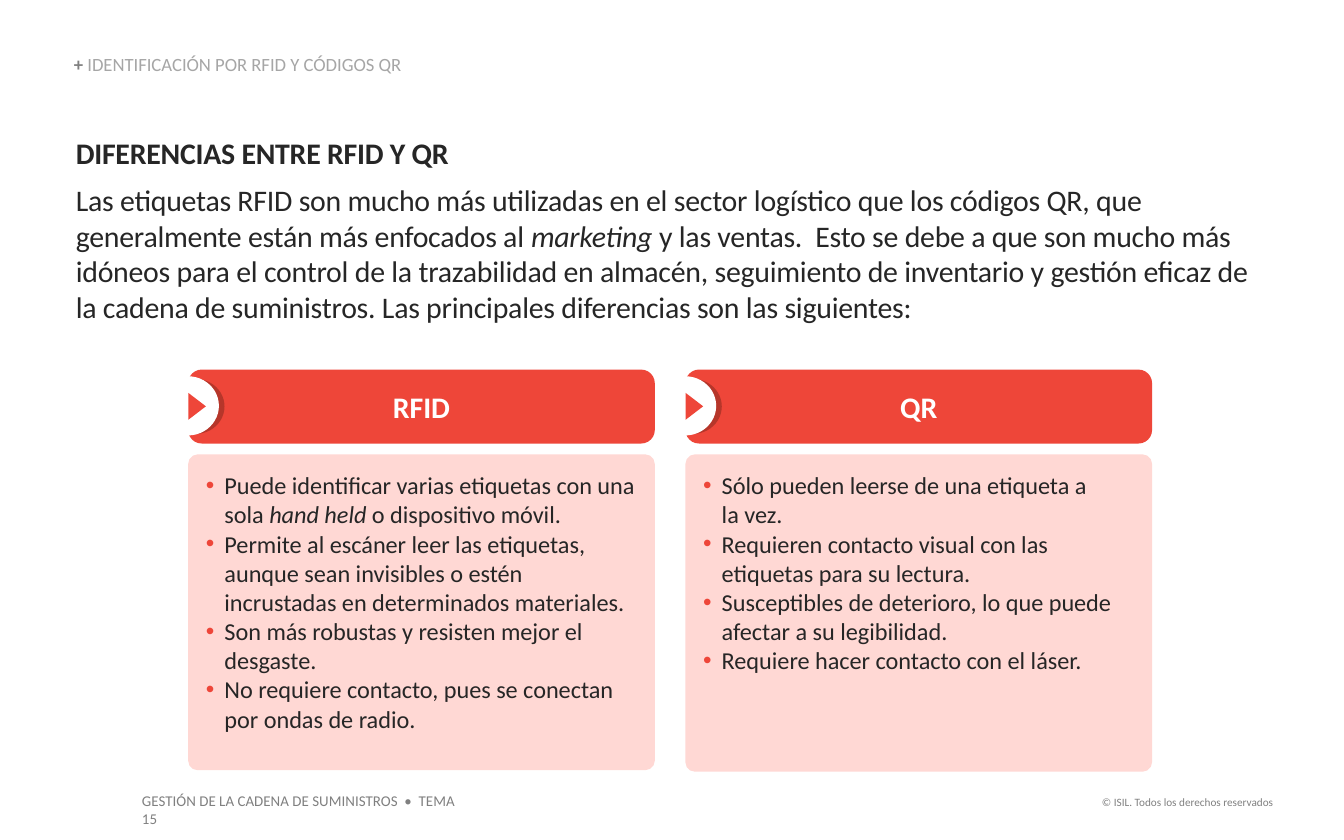
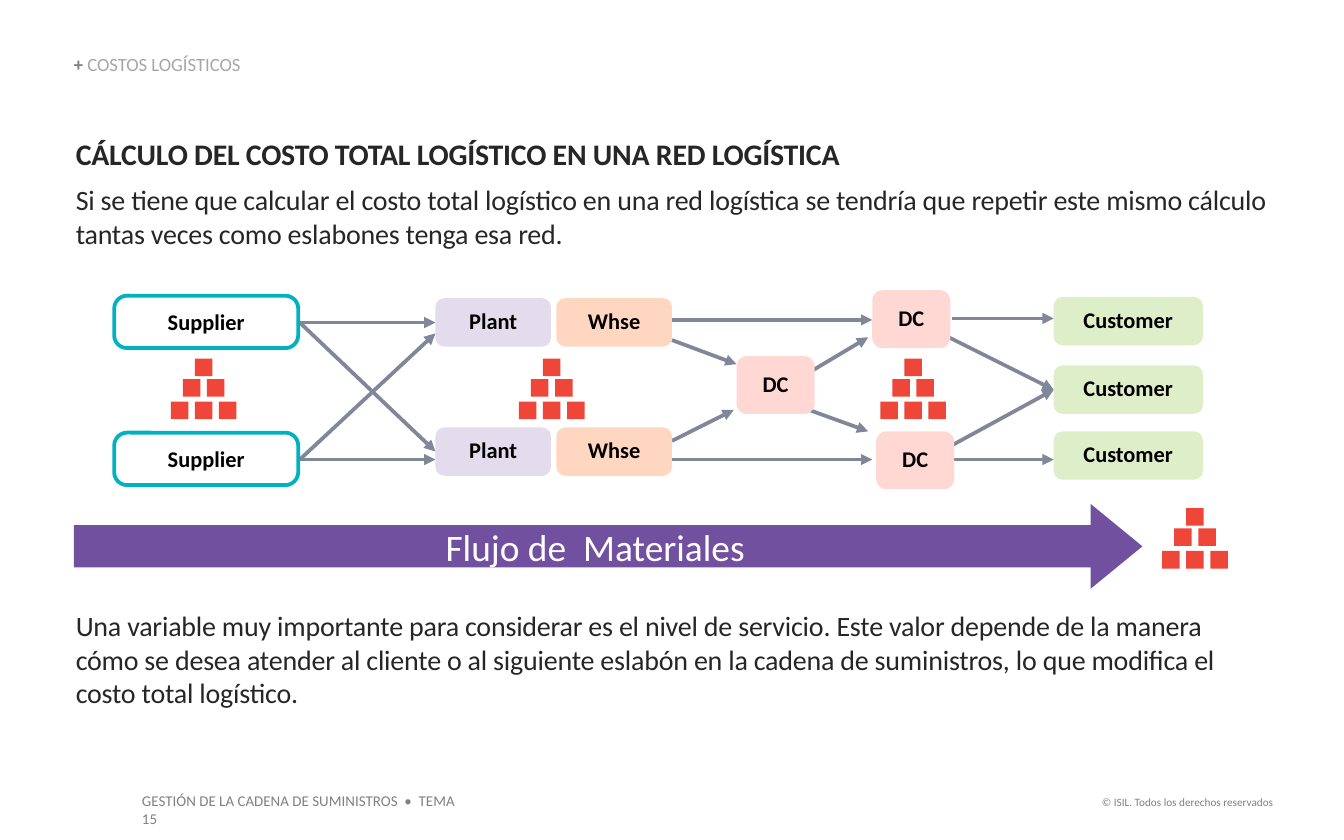
from dataclasses import dataclass
from typing import NamedTuple

from lxml import etree
from pptx import Presentation
from pptx.dml.color import RGBColor
from pptx.enum.shapes import MSO_CONNECTOR, MSO_SHAPE
from pptx.enum.text import MSO_ANCHOR, MSO_AUTO_SIZE, PP_ALIGN
from pptx.oxml.ns import qn
from pptx.util import Pt

ROUNDED = MSO_SHAPE.ROUNDED_RECTANGLE
RECTANGLE = MSO_SHAPE.RECTANGLE
ELLIPSE = MSO_SHAPE.OVAL
TRIANGLE = MSO_SHAPE.ISOSCELES_TRIANGLE
RIGHT_ARROW = MSO_SHAPE.RIGHT_ARROW
STRAIGHT = MSO_CONNECTOR.STRAIGHT
LEFT, CENTER, RIGHT = PP_ALIGN.LEFT, PP_ALIGN.CENTER, PP_ALIGN.RIGHT
TOP, MIDDLE, BOTTOM = MSO_ANCHOR.TOP, MSO_ANCHOR.MIDDLE, MSO_ANCHOR.BOTTOM
NO_AUTOFIT = MSO_AUTO_SIZE.NONE

FONT = "Calibri"
COLORS = {
    "red": "EE4639", "dark_red": "B6362A", "pink": "FFD8D4",
    "purple": "7150A0", "lilac": "E3DCED", "peach": "FFD7C1",
    "green": "DDEEC8", "teal": "00B1C2", "slate": "808799",
    "text": "262626", "gray": "808080", "light_gray": "A6A6A6",
    "white": "FFFFFF", "black": "000000",
}
TITLE_AND_CONTENT, COMPARISON = 1, 4
TIGHT = -10  # character spacing, hundredths of a point


class Box(NamedTuple):
    left: float
    top: float
    width: float
    height: float


class Arrow(NamedTuple):
    x1: float
    y1: float
    x2: float
    y2: float


@dataclass
class Card:
    heading: str
    left: float
    height: float
    placeholder_index: int
    items: list[str]


@dataclass
class NodeKind:
    label: str
    width: float
    height: float
    fill: str
    corner: float = 0.18
    spacing: float = 0.9
    line: str | None = None


# Text helpers
def color(name: str) -> RGBColor:
    return RGBColor.from_string(COLORS[name])


def set_font(font, size: float, color_name: str, bold: bool = False) -> None:
    font.name, font.size, font.bold = FONT, Pt(size), bold
    font.color.rgb = color(color_name)


def set_frame(frame, insets=(0, 0, 0, 0), anchor=TOP) -> None:
    frame.word_wrap = True
    frame.auto_size = NO_AUTOFIT
    frame.vertical_anchor = anchor
    (frame.margin_left, frame.margin_top,
     frame.margin_right, frame.margin_bottom) = map(Pt, insets)


def place(shape, box: Box) -> None:
    shape.left, shape.top, shape.width, shape.height = map(Pt, box)


def set_bullet(paragraph, bullet: str | None, margin: float, indent: float) -> None:
    properties = paragraph._p.get_or_add_pPr()
    properties.set("marL", str(Pt(margin)))
    properties.set("indent", str(Pt(indent)))
    if bullet is None:
        etree.SubElement(properties, qn("a:buNone"))
        return
    bullet_color = etree.SubElement(properties, qn("a:buClr"))
    etree.SubElement(bullet_color, qn("a:srgbClr"), val=COLORS["red"])
    etree.SubElement(properties, qn("a:buFont"), typeface="Arial")
    etree.SubElement(properties, qn("a:buChar"), char=bullet)


def add_marked_text(paragraph, text: str, spacing: int = 0) -> None:
    """Asterisks enclose italics; a newline is a line break."""
    for part_number, part in enumerate(text.split("*")):
        for line_number, line in enumerate(part.split("\n")):
            if line_number:
                paragraph.add_line_break()
            run = paragraph.add_run()
            run.text = line
            if part_number % 2:
                run.font.italic = True
            if spacing:
                run._r.get_or_add_rPr().set("spc", str(spacing))


def write_prose(paragraph, text: str, size: float, bold: bool = False, after: float = 0) -> None:
    set_bullet(paragraph, None, 1, 0)
    paragraph.alignment = LEFT
    paragraph.space_before, paragraph.space_after = Pt(0), Pt(after)
    set_font(paragraph.font, size, "text", bold)
    add_marked_text(paragraph, text, TIGHT)


def write_label(frame, text: str, size: float, color_name: str, bold=False,
                alignment=CENTER, spacing: float = 1) -> None:
    paragraph = frame.paragraphs[0]
    paragraph.text = text
    paragraph.alignment = alignment
    paragraph.line_spacing = spacing
    set_font(paragraph.font, size, color_name, bold)


# Shape helpers
def add_shape(slide, kind, box: Box, fill: str, adjustments=(), line: str | None = None):
    shape = slide.shapes.add_shape(kind, *map(Pt, box))
    shape.shadow.inherit = False
    shape.fill.solid()
    shape.fill.fore_color.rgb = color(fill)
    if line:
        shape.line.color.rgb = color(line)
        shape.line.width = Pt(2)
    else:
        shape.line.fill.background()
    for index, value in enumerate(adjustments):
        shape.adjustments[index] = value
    shape.text_frame.vertical_anchor = MIDDLE
    return shape


def add_arrow(slide, arrow: Arrow) -> None:
    connector = slide.shapes.add_connector(STRAIGHT, *map(Pt, arrow))
    connector.line.color.rgb = color("slate")
    connector.line.width = Pt(2)
    etree.SubElement(connector.line._get_or_add_ln(), qn("a:tailEnd"), type="triangle")
    etree.SubElement(connector._element.spPr, qn("a:effectLst"))


def add_text_box(slide, box: Box, insets):
    frame = slide.shapes.add_textbox(*map(Pt, box)).text_frame
    set_frame(frame, insets)
    return frame


# Parts shared by the slides
def add_base_slide(presentation, layout: int, section: str, heading: str,
                   intro: str, intro_size: float, intro_box: Box):
    slide = presentation.slides.add_slide(presentation.slide_layouts[layout])

    title = slide.shapes.title
    place(title, Box(39.6, 29.5, 335, 11))
    set_frame(title.text_frame, anchor=BOTTOM)
    paragraph = title.text_frame.paragraphs[0]
    paragraph.alignment, paragraph.line_spacing = LEFT, 0.9
    for text, color_name, bold in (("+ ", "gray", True), (section, "light_gray", False)):
        run = paragraph.add_run()
        run.text = text
        set_font(run.font, 10, color_name, bold)

    body = slide.placeholders[1]
    place(body, intro_box)
    set_frame(body.text_frame)
    write_prose(body.text_frame.paragraphs[0], heading, 16, True, 6)
    write_prose(body.text_frame.add_paragraph(), intro, intro_size)

    insets = (7.2, 3.6, 7.2, 3.6)
    write_label(add_text_box(slide, Box(567.4, 422.6, 121.7, 14.4), insets),
                "© ISIL. Todos los derechos reservados", 6, "gray", alignment=RIGHT)
    write_label(add_text_box(slide, Box(69, 420.5, 191.5, 17.3), insets),
                "GESTIÓN DE LA CADENA DE SUMINISTROS  •  TEMA 15", 8, "gray", alignment=LEFT)
    return slide


# Comparison slide
def add_card(slide, card: Card) -> None:
    header = add_shape(slide, ROUNDED, Box(card.left, 198, 250, 39.6), "red", [0.183])
    write_label(header.text_frame, card.heading, 16, "white", True)

    box = Box(card.left, 243.4, 250, card.height)
    add_shape(slide, ROUNDED, box, "pink", [0.03])
    body = slide.placeholders[card.placeholder_index]
    place(body, box)
    set_frame(body.text_frame, (8.64, 8.64, 8.64, 3.6))
    for index, item in enumerate(card.items):
        paragraph = body.text_frame.add_paragraph() if index else body.text_frame.paragraphs[0]
        set_bullet(paragraph, "•", 10.8, -10)
        paragraph.space_before = Pt(0)
        set_font(paragraph.font, 13, "text")
        add_marked_text(paragraph, item)
    body.element.getparent().append(body.element)  # list in front of its card

    # Round marker on the header's left edge
    add_shape(slide, ELLIPSE, Box(card.left - 11.5, 203, 31, 29.5), "dark_red")
    add_shape(slide, ELLIPSE, Box(card.left - 16.5, 201.6, 33, 31.7), "white")
    pointer = add_shape(slide, TRIANGLE, Box(card.left - 2.4, 213, 14.4, 9.4), "red")
    pointer.rotation = 90


def build_comparison(presentation) -> None:
    slide = add_base_slide(
        presentation, COMPARISON, "IDENTIFICACIÓN POR RFID Y CÓDIGOS QR",
        "DIFERENCIAS ENTRE RFID Y QR",
        "Las etiquetas RFID son mucho más utilizadas en el sector logístico que los códigos QR, "
        "que generalmente están más enfocados al *marketing* y las ventas.  Esto se debe a que "
        "son mucho más idóneos para el control de la trazabilidad en almacén, seguimiento de "
        "inventario y gestión eficaz de la cadena de suministros. Las principales diferencias "
        "son las siguientes:",
        16, Box(39.6, 72, 630, 103))
    cards = [
        Card("QR", 367.2, 170, 4, [
            "Sólo pueden leerse de una etiqueta a \nla vez.",
            "Requieren contacto visual con las etiquetas para su lectura.",
            "Susceptibles de deterioro, lo que puede afectar a su legibilidad.",
            "Requiere hacer contacto con el láser."]),
        Card("RFID", 100.8, 169.2, 2, [
            "Puede identificar varias etiquetas con una sola *hand held *o dispositivo móvil.",
            "Permite al escáner leer las etiquetas, aunque sean invisibles o estén "
            "incrustadas en determinados materiales.",
            "Son más robustas y resisten mejor el desgaste.",
            "No requiere contacto, pues se conectan por ondas de radio."]),
    ]
    for card in cards:
        add_card(slide, card)
    unused = slide.placeholders[3].element
    unused.getparent().remove(unused)


# Logistics network slide
SUPPLIER = NodeKind("Supplier", 98.6, 28.1, "white", 0.245, 1, "teal")
PLANT = NodeKind("Plant", 61.9, 25.9, "lilac")
WAREHOUSE = NodeKind("Whse", 61.9, 25.9, "peach")
CENTRE = NodeKind("DC", 41.8, 31, "pink")
CUSTOMER = NodeKind("Customer", 79.9, 25.9, "green")
NODES = [
    (SUPPLIER, 61.2, 158.4), (SUPPLIER, 61.2, 231.8),
    (PLANT, 233.3, 159.8), (PLANT, 233.3, 229),
    (WAREHOUSE, 298.1, 159.8), (WAREHOUSE, 298.1, 229),
    (CENTRE, 394.6, 190.8), (CENTRE, 467.3, 155.5), (CENTRE, 469.4, 231.1),
    (CUSTOMER, 564.5, 159.1), (CUSTOMER, 564.5, 195.8), (CUSTOMER, 564.5, 231.1),
]
ARROWS = [
    Arrow(160.6, 172.8, 233.3, 172.8), Arrow(160.6, 246.2, 233.3, 246.2),
    Arrow(160.6, 246.2, 233.3, 178.6), Arrow(160.6, 172.8, 233.3, 241.9),
    Arrow(360, 236.2, 393.1, 219.6), Arrow(360, 182.2, 394.6, 195.1),
    Arrow(434.9, 198.7, 465.1, 180.7), Arrow(433.4, 219.6, 465.1, 231.1),
    Arrow(508.3, 180.7, 564.5, 208.8), Arrow(510.5, 238.3, 564.5, 208.8),
    Arrow(359.3, 246.2, 467.3, 246.2), Arrow(511.2, 246.2, 564.5, 246.2),
    Arrow(509.8, 170.6, 564.5, 170.6), Arrow(359.3, 171.4, 467.3, 171.4),
]
STOCK_PILES = [(91.5, 192.2), (278, 192.2), (471.6, 192.2), (622.6, 272.2)]


def add_node(slide, kind: NodeKind, left: float, top: float) -> None:
    shape = add_shape(slide, ROUNDED, Box(left, top, kind.width, kind.height),
                      kind.fill, [kind.corner], kind.line)
    write_label(shape.text_frame, kind.label, 12, "black", True, spacing=kind.spacing)


def add_stock_pile(slide, left: float, top: float) -> None:
    side, pitch = 9.4, 12.9
    for row, drop in enumerate((0, 10.9, 23)):
        for column in range(row + 1):
            x = left + (2 - row) * pitch / 2 + column * pitch
            add_shape(slide, RECTANGLE, Box(x, top + drop, side, side), "red")


def build_network(presentation) -> None:
    slide = add_base_slide(
        presentation, TITLE_AND_CONTENT, "COSTOS LOGÍSTICOS",
        "CÁLCULO DEL COSTO TOTAL LOGÍSTICO EN UNA RED LOGÍSTICA",
        "Si se tiene que calcular el costo total logístico en una red logística se tendría que "
        "repetir este mismo cálculo tantas veces como eslabones tenga esa red.",
        15, Box(39.6, 72.7, 639.4, 64))
    flow = add_shape(slide, RIGHT_ARROW, Box(39.6, 270, 572.4, 45.4), "purple", [0.5, 0.61])
    write_label(flow.text_frame, "Flujo de  Materiales", 20, "white")
    for arrow in ARROWS:
        add_arrow(slide, arrow)
    for kind, left, top in NODES:
        add_node(slide, kind, left, top)
    for left, top in STOCK_PILES:
        add_stock_pile(slide, left, top)
    closing = add_text_box(slide, Box(39.6, 326, 639.4, 56), (0, 0, 0, 0))
    write_prose(
        closing.paragraphs[0],
        "Una variable muy importante para considerar es el nivel de servicio. Este valor depende "
        "de la manera cómo se desea atender al cliente o al siguiente eslabón en la cadena de "
        "suministros, lo que modifica el costo total logístico.", 15)


def main() -> None:
    presentation = Presentation()
    presentation.slide_width, presentation.slide_height = Pt(720), Pt(450)
    build_comparison(presentation)
    build_network(presentation)
    presentation.save("out.pptx")


if __name__ == "__main__":
    main()
